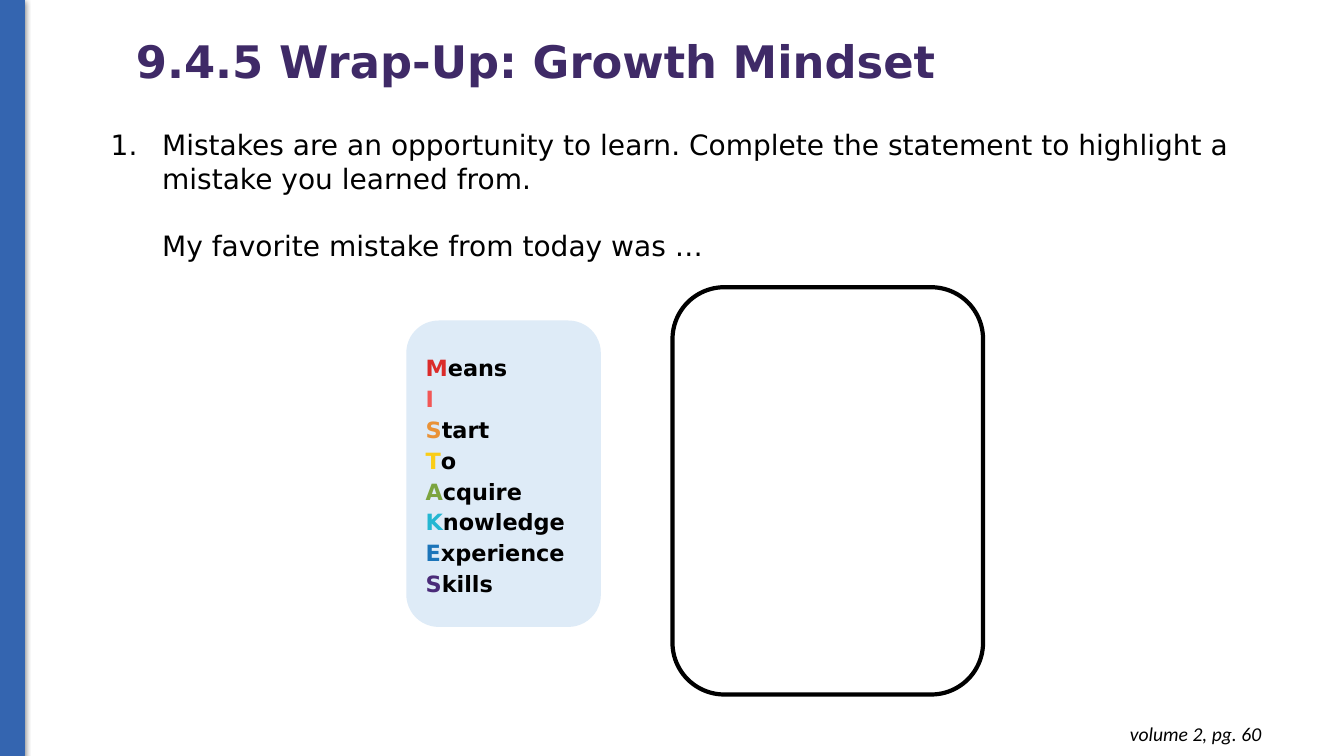
"""Build the Growth Mindset wrap-up slide with its MISTAKES acrostic."""
from dataclasses import dataclass

import lxml.etree
import pptx
import pptx.dml.color
import pptx.enum.shapes
import pptx.enum.text
import pptx.oxml.ns
import pptx.shapes.autoshape
import pptx.slide
import pptx.text.text
import pptx.util

Inches = pptx.util.Inches
Pt = pptx.util.Pt
PP_ALIGN = pptx.enum.text.PP_ALIGN
MSO_ANCHOR = pptx.enum.text.MSO_ANCHOR
MSO_SHAPE = pptx.enum.shapes.MSO_SHAPE
qn = pptx.oxml.ns.qn


@dataclass(frozen=True)
class Theme:
    heading_font: str = "DejaVu Sans"
    footer_font: str = "Calibri"
    title: str = "3F2A67"
    ink: str = "000000"
    bar: str = "3465B0"
    card: str = "DEEBF7"
    title_size: int = 32
    body_size: int = 20
    acrostic_size: int = 16
    footer_size: int = 14


@dataclass(frozen=True)
class Box:
    left: float
    top: float
    width: float
    height: float

    def lengths(self) -> tuple[int, ...]:
        return tuple(Inches(v) for v in (self.left, self.top, self.width, self.height))


@dataclass(frozen=True)
class Style:
    size: int
    color: str
    font: str = "DejaVu Sans"
    bold: bool = False
    italic: bool = False


@dataclass(frozen=True)
class AcrosticLine:
    initial: str
    rest: str
    color: str


THEME = Theme()
TITLE = Style(THEME.title_size, THEME.title, THEME.heading_font, bold=True)
BODY = Style(THEME.body_size, THEME.ink, THEME.heading_font)
FOOTER = Style(THEME.footer_size, THEME.ink, THEME.footer_font, italic=True)
ACROSTIC = [
    AcrosticLine("M", "eans", "DB2B2A"),
    AcrosticLine("I", "", "F25756"),
    AcrosticLine("S", "tart", "E99237"),
    AcrosticLine("T", "o", "FACD17"),
    AcrosticLine("A", "cquire", "7BA43F"),
    AcrosticLine("K", "nowledge", "24B7D2"),
    AcrosticLine("E", "xperience", "1B74B9"),
    AcrosticLine("S", "kills", "4A2B79"),
]


def rgb(color: str) -> pptx.dml.color.RGBColor:
    return pptx.dml.color.RGBColor.from_string(color)


def format_run(r: pptx.text.text._Run, style: Style) -> None:
    r.font.name = style.font
    r.font.size = Pt(style.size)
    r.font.bold = style.bold
    r.font.italic = style.italic
    r.font.color.rgb = rgb(style.color)


def add_text(s: pptx.slide.Slide, box: Box, text: str, style: Style) -> pptx.text.text.TextFrame:
    tf = s.shapes.add_textbox(*box.lengths()).text_frame
    tf.word_wrap = True
    tf.text = text
    for p in tf.paragraphs:
        for r in p.runs:
            format_run(r, style)
    return tf


def add_panel(s: pptx.slide.Slide, kind: MSO_SHAPE, box: Box, fill: str = "",
              line: str = "", weight: float = 1) -> pptx.shapes.autoshape.Shape:
    sp = s.shapes.add_shape(kind, *box.lengths())
    sp.shadow.inherit = False
    if fill:
        sp.fill.solid()
        sp.fill.fore_color.rgb = rgb(fill)
    else:
        sp.fill.background()
    if line:
        sp.line.color.rgb = rgb(line)
        sp.line.width = Pt(weight)
    else:
        sp.line.fill.background()
    return sp


def add_shadow(sp: pptx.shapes.autoshape.Shape) -> None:
    effects = sp._element.spPr.find(qn("a:effectLst"))
    shadow = lxml.etree.SubElement(effects, qn("a:outerShdw"), blurRad=str(Pt(4.5)),
                                   dist=str(Pt(1.5)), dir="5400000", rotWithShape="0")
    color = lxml.etree.SubElement(shadow, qn("a:srgbClr"), val=THEME.ink)
    lxml.etree.SubElement(color, qn("a:alpha"), val="50000")


def indent(p: pptx.text.text._Paragraph, numbered: bool) -> None:
    pPr = p._p.get_or_add_pPr()
    pPr.set("marL", str(Inches(0.51)))
    pPr.set("indent", str(Inches(-0.51) if numbered else 0))
    if numbered:
        color = lxml.etree.SubElement(pPr, qn("a:buClr"))
        lxml.etree.SubElement(color, qn("a:srgbClr"), val=THEME.ink)
        lxml.etree.SubElement(pPr, qn("a:buAutoNum"), type="arabicPeriod")


def add_acrostic(s: pptx.slide.Slide, box: Box, lines: list[AcrosticLine]) -> None:
    tf = add_panel(s, MSO_SHAPE.ROUNDED_RECTANGLE, box, fill=THEME.card).text_frame
    tf.word_wrap = True
    tf.vertical_anchor = MSO_ANCHOR.MIDDLE
    for i, line in enumerate(lines):
        p = tf.add_paragraph() if i else tf.paragraphs[0]
        p.alignment = PP_ALIGN.LEFT
        p.line_spacing = 1.15
        for text, color in ((line.initial, line.color), (line.rest, THEME.ink)):
            if text:
                r = p.add_run()
                r.text = text
                format_run(r, Style(THEME.acrostic_size, color, THEME.heading_font, bold=True))


def main() -> None:
    prs = pptx.Presentation()
    prs.slide_width, prs.slide_height = Inches(13.33), Inches(7.5)
    s = prs.slides.add_slide(prs.slide_layouts[6])

    bar = add_panel(s, MSO_SHAPE.RECTANGLE, Box(0, 0, 0.24, 7.5), THEME.bar, THEME.bar, 0.75)
    add_shadow(bar)

    tf = add_text(s, Box(1.25, -0.09, 8.77, 1.45), "9.4.5 Wrap-Up: Growth Mindset", TITLE)
    tf.vertical_anchor = MSO_ANCHOR.MIDDLE
    tf.paragraphs[0].line_spacing = 0.9

    tf = add_text(s, Box(1, 1.22, 11.5, 1.45),
                  "Mistakes are an opportunity to learn. Complete the statement to "
                  "highlight a mistake you learned from.\n"
                  "My favorite mistake from today was …", BODY)
    task, starter = tf.paragraphs
    indent(task, numbered=True)
    indent(starter, numbered=False)
    starter.space_before = Pt(24)

    tf = add_text(s, Box(9.73, 7.06, 2.88, 0.44), "volume 2, pg. 60", FOOTER)
    tf.margin_top = tf.margin_bottom = Inches(0.1)
    tf.paragraphs[0].alignment = PP_ALIGN.RIGHT

    add_panel(s, MSO_SHAPE.ROUNDED_RECTANGLE, Box(6.67, 2.85, 3.08, 4.04),
              line=THEME.ink, weight=3)
    add_acrostic(s, Box(4.03, 3.18, 1.93, 3.04), ACROSTIC)
    prs.save("out.pptx")


if __name__ == "__main__":
    main()
